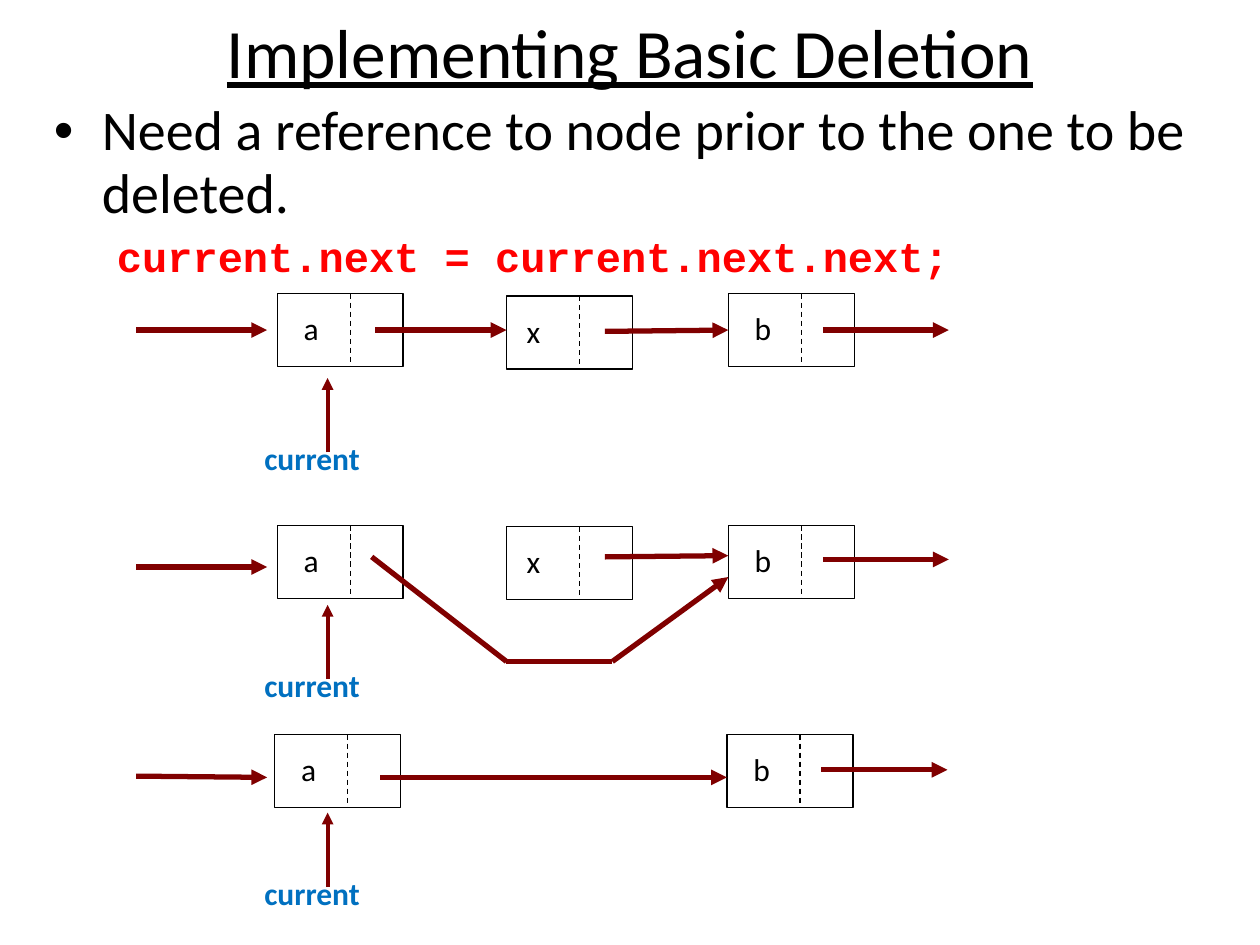
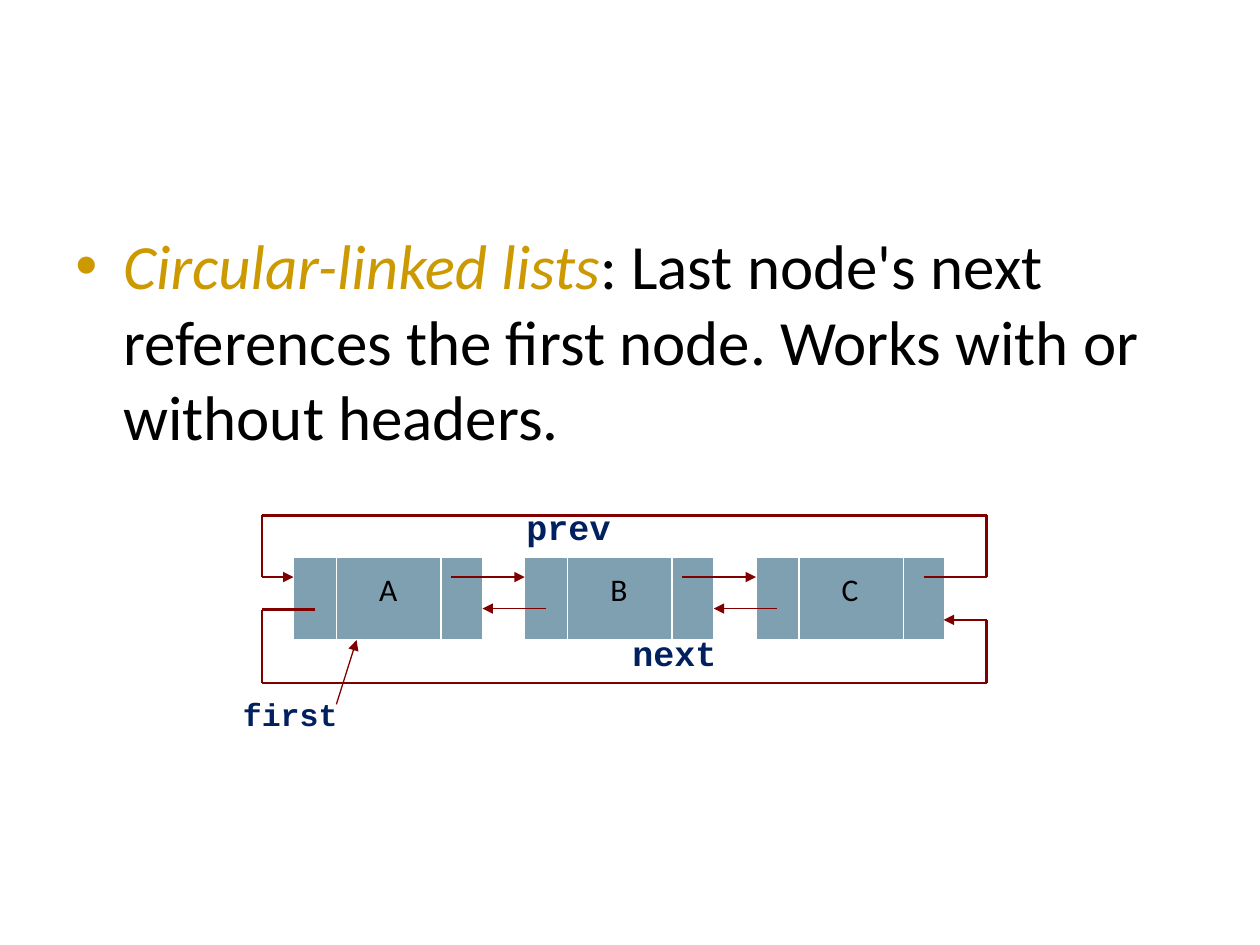
import itertools
from dataclasses import dataclass

import pptx
import pptx.dml.color
import pptx.enum.dml
import pptx.enum.shapes
import pptx.enum.text
import pptx.oxml.ns
import pptx.util
from lxml import etree

Inches, Pt = pptx.util.Inches, pptx.util.Pt
Anchor = pptx.enum.text.MSO_ANCHOR
Align = pptx.enum.text.PP_ALIGN


@dataclass(frozen=True)
class Theme:
    ink: str = "000000"
    paper: str = "FFFFFF"
    arrow: str = "800000"
    code: str = "FF0000"
    pointer: str = "0070C0"
    term: str = "CC9900"
    link_label: str = "002060"
    node: str = "7FA0B1"
    body_font: str = "Calibri"
    code_font: str = "Courier New"
    title_size: float = 39.6
    statement_size: float = 36
    point_size: float = 32
    code_size: float = 24
    link_size: float = 20
    label_size: float = 18


THEME = Theme()

# Deletion slide
TITLE = "Implementing Basic Deletion"
POINT = "Need a reference to node prior to the one to be deleted."
CODE = "current.next = current.next.next;"
POINTER = "current"
CELL_SIZE = (1, 0.58)
CELL_DIVIDER = 0.58
LETTER_INSET = {"a": 0.21, "x": 0.16, "b": 0.21}
# Each stage: cells as (letter, left, top), arrow paths, tip of the pointer arrow
STAGES = [
    {
        "cells": [("a", 2.2, 2.33), ("x", 4.02, 2.35), ("b", 5.78, 2.33)],
        "arrows": [
            [(1.08, 2.62), (2.12, 2.62)],
            [(2.98, 2.62), (4.02, 2.62)],
            [(4.8, 2.63), (5.78, 2.62)],
            [(6.53, 2.62), (7.53, 2.62)],
        ],
        "tip": 3.0,
    },
    {
        "cells": [("a", 2.2, 4.17), ("x", 4.02, 4.18), ("b", 5.78, 4.17)],
        "arrows": [
            [(1.08, 4.5), (2.12, 4.5)],
            [(2.95, 4.42), (4.02, 5.25), (4.86, 5.25), (5.78, 4.58)],
            [(4.8, 4.42), (5.78, 4.41)],
            [(6.53, 4.44), (7.53, 4.44)],
        ],
        "tip": 4.8,
    },
    {
        "cells": [("a", 2.18, 5.83), ("b", 5.77, 5.83)],
        "arrows": [
            [(1.08, 6.16), (2.12, 6.17)],
            [(3.02, 6.17), (5.77, 6.17)],
            [(6.52, 6.11), (7.52, 6.11)],
        ],
        "tip": 6.45,
    },
]

# Circular list slide
TERM = "Circular-linked lists"
DEFINITION = (": Last node's next references the first node. "
              "Works with or without headers.")
RING_LETTERS = "ABC"
RING_LEFT, RING_TOP, RING_PITCH = 2.33, 4.42, 1.835
RING_SIZE = (1.5, 0.66)
RING_DIVIDERS = (0.34, 1.17)
RING_LOOPS = [
    [(7.33, 4.58), (7.83, 4.58), (7.83, 4.09), (2.08, 4.09), (2.08, 4.58), (2.33, 4.58)],
    [(2.5, 4.84), (2.08, 4.84), (2.08, 5.42), (7.83, 5.42), (7.83, 4.92), (7.49, 4.92)],
]
FIRST_ARROW = [(2.67, 5.59), (2.83, 5.08)]
# Text, left, top, width, height, size
RING_LABELS = [
    ("first", 1.83, 5.5, 0.96, 0.38, THEME.label_size),
    ("prev", 4.08, 4.0, 0.88, 0.41, THEME.link_size),
    ("next", 4.92, 5.0, 0.88, 0.41, THEME.link_size),
]


def rgb(colour):
    return pptx.dml.color.RGBColor.from_string(colour)


def sub(parent, tag, **attributes):
    return etree.SubElement(parent, pptx.oxml.ns.qn(tag), attributes)


def add_run(paragraph, text, size, colour=THEME.ink, font=THEME.body_font, **style):
    """Append a run; style holds font flags such as bold or underline."""
    run = paragraph.add_run()
    run.text = text
    run.font.name, run.font.size = font, Pt(size)
    run.font.color.rgb = rgb(colour)
    for flag, value in style.items():
        setattr(run.font, flag, value)


def indent(paragraph, left, first, bullet=None):
    properties = paragraph._p.get_or_add_pPr()
    properties.set("marL", str(Inches(left)))
    properties.set("indent", str(Inches(first)))
    if bullet:
        sub(properties, "a:buFont", typeface="Arial")
        sub(properties, "a:buChar", char=bullet)
    else:
        sub(properties, "a:buNone")


def add_text_frame(slide, left, top, width, height, wrap=True):
    box = slide.shapes.add_textbox(*map(Inches, (left, top, width, height)))
    box.text_frame.word_wrap = wrap
    return box.text_frame


def add_label(slide, text, left, top, width, height, spacing, **style):
    frame = add_text_frame(slide, left, top, width, height, wrap=False)
    frame.auto_size = pptx.enum.text.MSO_AUTO_SIZE.SHAPE_TO_FIT_TEXT
    frame.paragraphs[0].line_spacing = spacing
    add_run(frame.paragraphs[0], text, bold=True, **style)


def add_path(slide, points, weight, colour=THEME.arrow, head=True, dashed=False):
    """Join the points with straight lines, the last one ending in an arrowhead."""
    for start, end in itertools.pairwise(points):
        line = slide.shapes.add_connector(
            pptx.enum.shapes.MSO_CONNECTOR.STRAIGHT, *map(Inches, start + end))
        line.line.color.rgb = rgb(colour)
        line.line.width = Pt(weight)
        if dashed:
            line.line.dash_style = pptx.enum.dml.MSO_LINE.DASH
        if head and end == points[-1]:
            sub(line.line._get_or_add_ln(), "a:tailEnd", type="triangle")
        sub(line._element.spPr, "a:effectLst")


def add_node(slide, letter, left, top, size, fill, edge, inset, anchor, spacing,
             dividers, divider_weight, dashed):
    """Draw a list node with its letter and the lines that split off its link fields."""
    width, height = size
    node = slide.shapes.add_shape(pptx.enum.shapes.MSO_SHAPE.RECTANGLE,
                                  *map(Inches, (left, top, width, height)))
    node.shadow.inherit = False
    node.fill.solid()
    node.fill.fore_color.rgb = rgb(fill)
    node.line.color.rgb = rgb(edge)
    node.line.width = Pt(0.75)
    frame = node.text_frame
    frame.margin_left, frame.margin_top = map(Inches, inset)
    frame.vertical_anchor = anchor
    frame.paragraphs[0].alignment = Align.LEFT
    frame.paragraphs[0].line_spacing = spacing
    add_run(frame.paragraphs[0], letter, THEME.label_size)
    for offset in dividers:
        add_path(slide, [(left + offset, top), (left + offset, top + height)],
                 divider_weight, edge, head=False, dashed=dashed)


def build_deletion(slide):
    title = add_text_frame(slide, 0, 0.05, 10, 0.7)
    title.vertical_anchor = Anchor.MIDDLE
    title.paragraphs[0].alignment = Align.CENTER
    add_run(title.paragraphs[0], TITLE, THEME.title_size, underline=True)

    for stage in STAGES:
        for letter, left, top in stage["cells"]:
            add_node(slide, letter, left, top, CELL_SIZE, THEME.paper, THEME.ink,
                     (LETTER_INSET[letter], 0.05), Anchor.MIDDLE, 0.95,
                     [CELL_DIVIDER], 0.75, dashed=True)
        for arrow in stage["arrows"]:
            add_path(slide, arrow, 3)
        tip = stage["tip"]
        add_label(slide, POINTER, 2, tip + 0.46, 1.07, 0.39, 0.95,
                  size=THEME.label_size, colour=THEME.pointer)
        add_path(slide, [(2.6, tip + 0.59), (2.6, tip)], 2.25)

    body = add_text_frame(slide, 0.33, 0.75, 9.5, 1.42)
    point = body.paragraphs[0]
    indent(point, 0.38, -0.38, "•")
    point.line_spacing = 0.93
    add_run(point, POINT, THEME.point_size)
    code = body.add_paragraph()
    indent(code, 0.81, -0.31)
    code.space_before, code.space_after = Pt(2.5), Pt(5)
    add_run(code, CODE, THEME.code_size, THEME.code, THEME.code_font, bold=True)


def build_circular_list(slide):
    statement = add_text_frame(slide, 0.5, 1.75, 9, 4.95).paragraphs[0]
    indent(statement, 0.38, -0.38, "•")
    add_run(statement, TERM, THEME.statement_size, THEME.term, italic=True)
    add_run(statement, DEFINITION, THEME.statement_size)

    lefts = [RING_LEFT + i * RING_PITCH for i in range(len(RING_LETTERS))]
    for letter, left in zip(RING_LETTERS, lefts):
        add_node(slide, letter, left, RING_TOP, RING_SIZE, THEME.node, THEME.paper,
                 (0.68, 0.13), Anchor.TOP, 0.93, RING_DIVIDERS, 1, dashed=False)
    for left, following in itertools.pairwise(lefts):
        right = left + RING_SIZE[0]
        add_path(slide, [(left + 1.25, 4.58), (following, 4.58)], 1)
        add_path(slide, [(following + 0.17, 4.83), (right, 4.83)], 1)
    for loop in RING_LOOPS:
        add_path(slide, loop, 1.5)
    add_path(slide, FIRST_ARROW, 0.75)
    for text, left, top, width, height, size in RING_LABELS:
        add_label(slide, text, left, top, width, height, 0.89, size=size,
                  colour=THEME.link_label, font=THEME.code_font)


def main():
    deck = pptx.Presentation()
    deck.slide_width, deck.slide_height = Inches(10), Inches(7.5)
    for build in (build_deletion, build_circular_list):
        build(deck.slides.add_slide(deck.slide_layouts[6]))
    deck.save("out.pptx")


if __name__ == "__main__":
    main()
